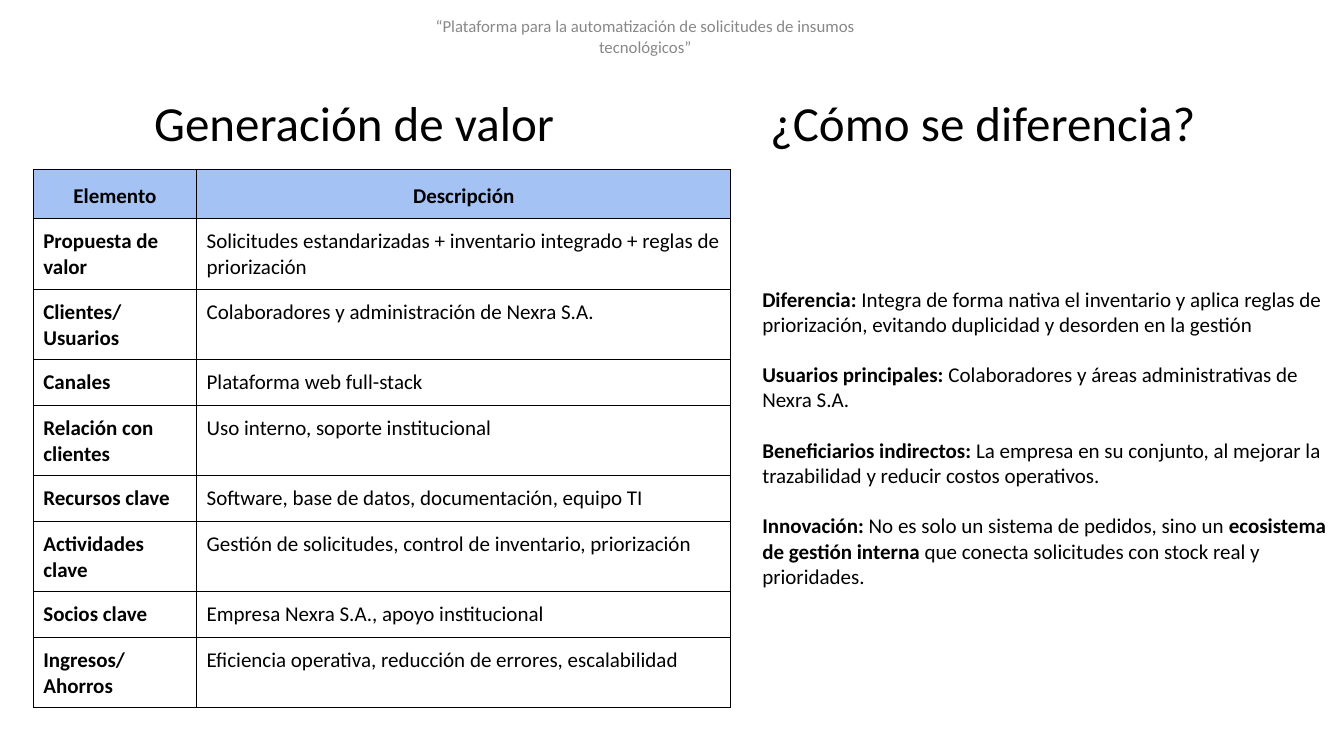
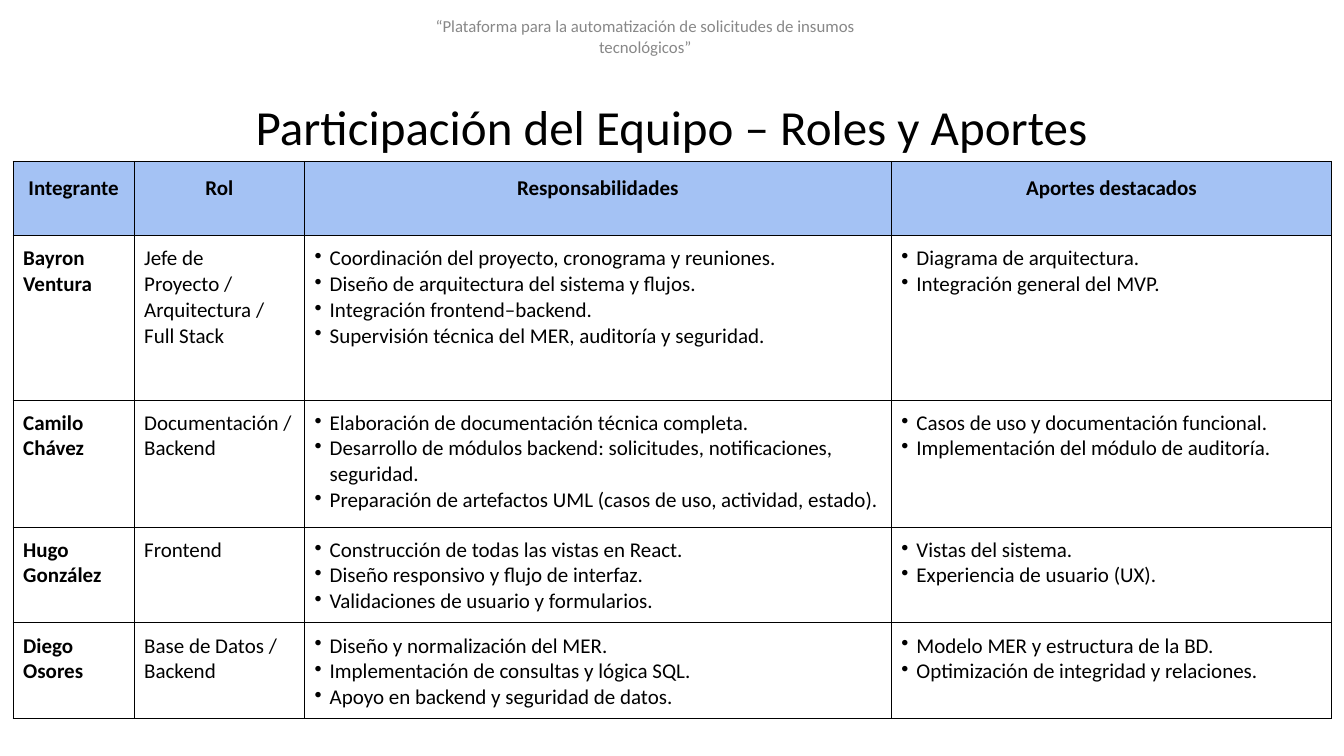
"""Build two slides: value generation and team roles."""
from lxml import etree
from pptx import Presentation
from pptx import util as u
from pptx.dml.color import RGBColor
from pptx.enum import text as t
from pptx.oxml import ns

FONT = "Calibri"
BLACK, GREY, HEADER_BLUE = "000000", "888888", "A4C2F4"
LEFT, CENTER = t.PP_ALIGN.LEFT, t.PP_ALIGN.CENTER
BULLET_INDENT = u.Inches(0.15)
PROJECT = "“Plataforma para la automatización de solicitudes de insumos tecnológicos”"


def write(frame, lines, size=15, color=BLACK, align=LEFT, spacing=1.0, gap=0, bullets=False):
    """Fill a text frame with paragraphs; text between ** marks is bold."""
    for number, line in enumerate(lines):
        paragraph = frame.add_paragraph() if number else frame.paragraphs[0]
        paragraph.alignment, paragraph.line_spacing = align, spacing
        paragraph.space_before = u.Pt(gap if number else 0)
        if bullets:
            properties = paragraph._p.get_or_add_pPr()
            properties.set("marL", str(BULLET_INDENT))
            properties.set("indent", str(-BULLET_INDENT))
            etree.SubElement(properties, ns.qn("a:buChar"), char="•")
        for part, words in enumerate(line.split("**")):
            if words:
                run = paragraph.add_run()
                run.text = words
                run.font.name, run.font.size, run.font.bold = FONT, u.Pt(size), part % 2 == 1
                run.font.color.rgb = RGBColor.from_string(color)


def add_text(slide, lines, left, top, width, height, inset=0.1, anchor=t.MSO_ANCHOR.TOP, **style):
    """Add a wrapping text box and write its paragraphs."""
    box = slide.shapes.add_textbox(*map(u.Inches, (left, top, width, height)))
    frame = box.text_frame
    frame.word_wrap, frame.vertical_anchor = True, anchor
    frame.margin_left = u.Inches(inset)
    write(frame, lines, **style)
    return frame


value_rows = [
    ["Elemento", "Descripción"],
    ["Propuesta de valor", "Solicitudes estandarizadas + inventario integrado + reglas de priorización"],
    ["Clientes/Usuarios", "Colaboradores y administración de Nexra S.A."],
    ["Canales", "Plataforma web full-stack"],
    ["Relación con clientes", "Uso interno, soporte institucional"],
    ["Recursos clave", "Software, base de datos, documentación, equipo TI"],
    ["Actividades clave", "Gestión de solicitudes, control de inventario, priorización"],
    ["Socios clave", "Empresa Nexra S.A., apoyo institucional"],
    ["Ingresos/Ahorros", "Eficiencia operativa, reducción de errores, escalabilidad"],
]
team_rows = [
    ["Integrante", "Rol", "Responsabilidades", "Aportes destacados"],
    ["Bayron Ventura", "Jefe de Proyecto / Arquitectura / Full Stack",
     ["Coordinación del proyecto, cronograma y reuniones.",
      "Diseño de arquitectura del sistema y flujos.",
      "Integración frontend–backend.",
      "Supervisión técnica del MER, auditoría y seguridad."],
     ["Diagrama de arquitectura.", "Integración general del MVP."]],
    ["Camilo Chávez", "Documentación / Backend",
     ["Elaboración de documentación técnica completa.",
      "Desarrollo de módulos backend: solicitudes, notificaciones, seguridad.",
      "Preparación de artefactos UML (casos de uso, actividad, estado)."],
     ["Casos de uso y documentación funcional.", "Implementación del módulo de auditoría."]],
    ["Hugo González", "Frontend",
     ["Construcción de todas las vistas en React.",
      "Diseño responsivo y flujo de interfaz.",
      "Validaciones de usuario y formularios."],
     ["Vistas del sistema.", "Experiencia de usuario (UX)."]],
    ["Diego Osores", "Base de Datos / Backend",
     ["Diseño y normalización del MER.",
      "Implementación de consultas y lógica SQL.",
      "Apoyo en backend y seguridad de datos."],
     ["Modelo MER y estructura de la BD.", "Optimización de integridad y relaciones."]],
]
differences = [
    "**Diferencia:** Integra de forma nativa el inventario y aplica reglas de priorización, "
    "evitando duplicidad y desorden en la gestión",
    "**Usuarios principales:** Colaboradores y áreas administrativas de Nexra S.A.",
    "**Beneficiarios indirectos:** La empresa en su conjunto, al mejorar la trazabilidad "
    "y reducir costos operativos.",
    "**Innovación:** No es solo un sistema de pedidos, sino un **ecosistema de gestión interna** "
    "que conecta solicitudes con stock real y prioridades.",
]
pages = [
    ([("Generación de valor", 1.19, 0.87, 4.65), ("¿Cómo se diferencia?", 7.4, 0.87, 4.7)],
     value_rows, 0.33, 1.68, [1.62, 5.3], [0.49, 0.7, 0.7, 0.45, 0.7, 0.45, 0.7, 0.45, 0.7]),
    ([("Participación del Equipo – Roles y Aportes", 0, 0.91, 13.33)],
     team_rows, 0.13, 1.6, [1.2, 1.69, 5.82, 4.37], [0.74, 1.63, 1.26, 0.95, 0.95]),
]

deck = Presentation()
deck.slide_width, deck.slide_height = u.Inches(13.33), u.Inches(7.5)

for titles, rows, left, top, widths, heights in pages:
    slide = deck.slides.add_slide(deck.slide_layouts[6])
    add_text(slide, [PROJECT], 4.15, 0.19, 4.5, 0.34, anchor=t.MSO_ANCHOR.MIDDLE,
             size=12, color=GREY, align=CENTER)
    for title, title_left, title_top, title_width in titles:
        add_text(slide, [title], title_left, title_top, title_width, 0.69, size=35, align=CENTER)

    place = map(u.Inches, (left, top, sum(widths), sum(heights)))
    table = slide.shapes.add_table(len(rows), len(widths), *place).table
    table.horz_banding = table.first_row = False
    for column, width in zip(table.columns, widths):
        column.width = u.Inches(width)
    for row, height in zip(table.rows, heights):
        row.height = u.Inches(height)

    for r, entries in enumerate(rows):
        for c, entry in enumerate(entries):
            cell = table.cell(r, c)
            cell.margin_left = cell.margin_right = u.Inches(0.1)
            cell.margin_top = cell.margin_bottom = u.Inches(0.1)
            for side in ("lnL", "lnR", "lnT", "lnB"):
                border = etree.SubElement(cell._tc.get_or_add_tcPr(), ns.qn(f"a:{side}"),
                                          w=str(u.Pt(0.75)))
                ink = etree.SubElement(border, ns.qn("a:solidFill"))
                etree.SubElement(ink, ns.qn("a:srgbClr"), val=BLACK)
            if r == 0:
                cell.fill.solid()
                cell.fill.fore_color.rgb = RGBColor.from_string(HEADER_BLUE)
                write(cell.text_frame, [f"**{entry}**"], align=CENTER, spacing=1.15)
            else:
                cell.fill.background()
                bulleted = isinstance(entry, list)
                lines = entry if bulleted else [f"**{entry}**" if c == 0 else entry]
                write(cell.text_frame, lines, bullets=bulleted)

comparison = add_text(deck.slides[0], differences, 7.44, 2.79, 5.89, 3.2, inset=0.12, gap=18)
comparison.margin_right = 0

deck.save("out.pptx")
